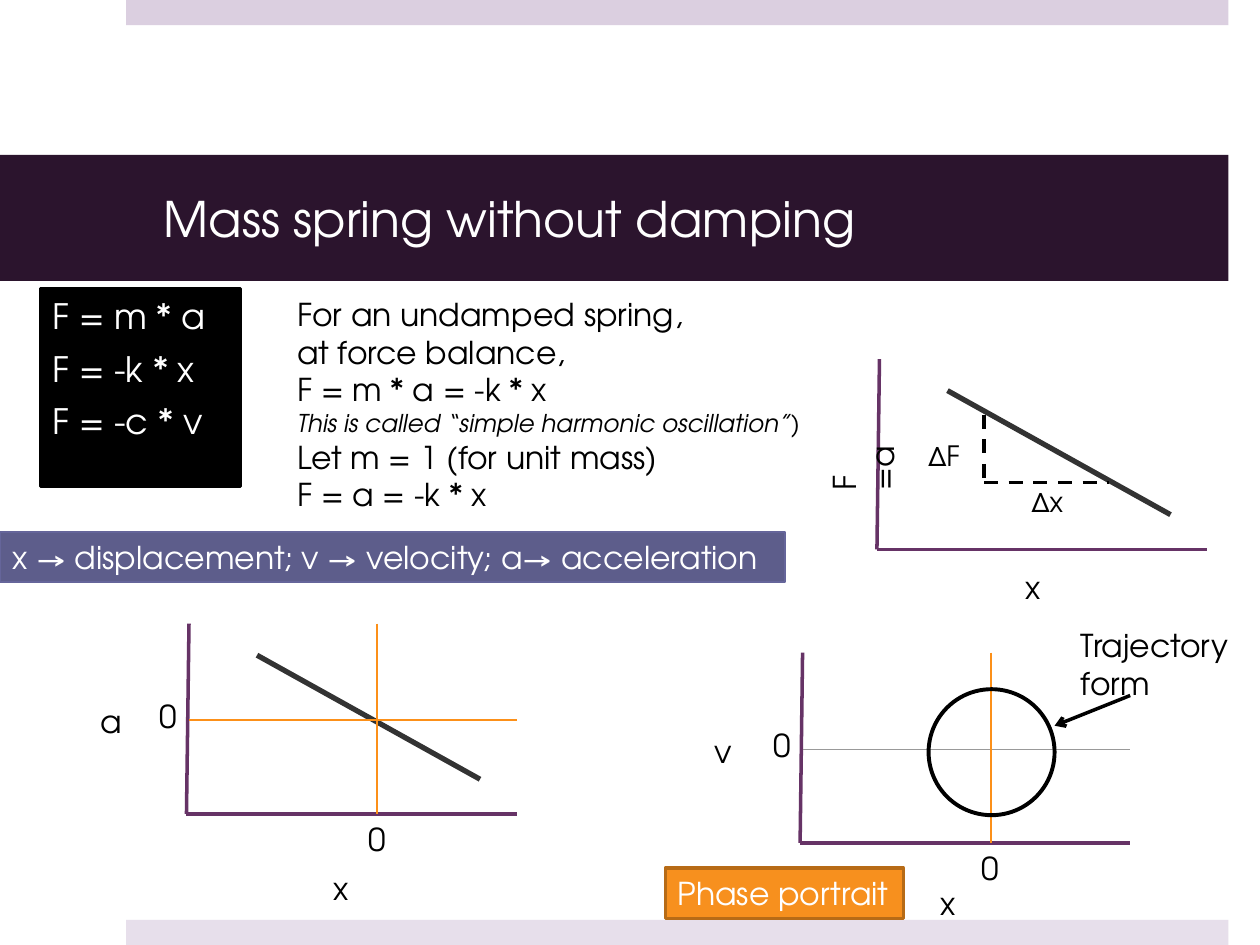
from lxml import etree
from pptx import Presentation
from pptx.dml.color import RGBColor
from pptx.enum.dml import MSO_LINE
from pptx.enum.shapes import MSO_CONNECTOR, MSO_SHAPE
from pptx.enum.text import MSO_ANCHOR, PP_ALIGN
from pptx.oxml.ns import qn
from pptx.util import Inches, Pt

RECT, OVAL = MSO_SHAPE.RECTANGLE, MSO_SHAPE.OVAL
STRAIGHT, DASH = MSO_CONNECTOR.STRAIGHT, MSO_LINE.DASH
LEFT, TOP, MIDDLE = PP_ALIGN.LEFT, MSO_ANCHOR.TOP, MSO_ANCHOR.MIDDLE

FONT = "TeX Gyre Adventor"
BLACK, WHITE = "000000", "FFFFFF"
AXIS, ORANGE, GREY = "663366", "FC9019", "999999"
COLUMNS, ROWS = 100, 75


def rgb(value):
    return RGBColor.from_string(value)


class SlideBuilder:
    """Draws on one slide; lengths are columns and rows of a 100 by 75 grid."""

    def __init__(self, deck):
        self.column = deck.slide_width / COLUMNS
        self.row = deck.slide_height / ROWS
        self.slide = deck.slides.add_slide(deck.slide_layouts[5])
        self.shapes = self.slide.shapes

    def place(self, x, y):
        return round(x * self.column), round(y * self.row)

    def start_group(self):
        self.shapes = self.slide.shapes.add_group_shape().shapes

    def end_group(self):
        self.shapes = self.slide.shapes

    def add_lines(self, frame, lines, color, size, space=0):
        """Each line is a string, or a (string, size, italic) tuple."""
        for index, line in enumerate(lines):
            words, points, italic = (line, size, False) if isinstance(line, str) else line
            paragraph = frame.paragraphs[0] if index == 0 else frame.add_paragraph()
            paragraph.alignment = LEFT
            if index and space:
                paragraph.space_before = Pt(space)
            run = paragraph.add_run()
            run.text = words
            run.font.name, run.font.size = FONT, Pt(points)
            run.font.italic = italic
            run.font.color.rgb = rgb(color)

    def title(self, words, x, y, width, height, fill):
        title = self.slide.shapes.title
        title.left, title.top = self.place(x, y)
        title.width, title.height = self.place(width, height)
        title.fill.solid()
        title.fill.fore_color.rgb = rgb(fill)
        frame = title.text_frame
        frame.vertical_anchor = MIDDLE
        frame.margin_left, frame.margin_right = Inches(1.3), Inches(0.3)
        self.add_lines(frame, [words], WHITE, 28)

    def shape(self, kind, x, y, width, height, fill=None, line=None, weight=1,
              lines=(), size=18, space=0):
        shape = self.shapes.add_shape(kind, *self.place(x, y), *self.place(width, height))
        shape.shadow.inherit = False
        if fill:
            shape.fill.solid()
            shape.fill.fore_color.rgb = rgb(fill)
        else:
            shape.fill.background()
        if line:
            shape.line.color.rgb = rgb(line)
            shape.line.width = Pt(weight)
        else:
            shape.line.fill.background()
        if lines:
            shape.text_frame.word_wrap = False
            shape.text_frame.vertical_anchor = TOP
            self.add_lines(shape.text_frame, lines, WHITE, size, space)

    def text(self, x, y, width, height, *lines, size=18, wrap=False, turn=0):
        box = self.shapes.add_textbox(*self.place(x, y), *self.place(width, height))
        box.rotation = turn
        box.text_frame.word_wrap = wrap
        self.add_lines(box.text_frame, lines, BLACK, size)

    def line(self, start, end, color, weight, dash=None, opacity=None, arrow=False):
        line = self.shapes.add_connector(STRAIGHT, *self.place(*start), *self.place(*end))
        line.line.color.rgb = rgb(color)
        line.line.width = Pt(weight)
        if dash:
            line.line.dash_style = dash
        properties = line._element.spPr
        if opacity:
            fill_color = properties.find(".//" + qn("a:srgbClr"))
            etree.SubElement(fill_color, qn("a:alpha"), val=str(opacity * 1000))
        if arrow:
            etree.SubElement(properties.find(qn("a:ln")), qn("a:tailEnd"), type="arrow")
        etree.SubElement(properties, qn("a:effectLst"))

    def axes(self, x, y):
        """Draw both axes from the lower left corner of a plot."""
        self.line((x + 0.2, y - 15.1), (x, y), AXIS, 2)
        self.line((x, y), (x + 26.2, y), AXIS, 2)

    def trend(self, x, y):
        self.line((x + 5.6, y - 12.6), (x + 23.3, y - 2.75), BLACK, 3, opacity=80)

    def zero_lines(self, x, y, level_color, level_weight):
        self.line((x + 0.2, y - 7.45), (x + 26.2, y - 7.45), level_color, level_weight)
        self.line((x + 15.15, y - 15.1), (x + 15.15, y), ORANGE, 1)
        for dx, dy in ((-3.1, -9.75), (13.45, 0)):
            self.text(x + dx, y + dy, 3.4, 4, "0")


def main():
    deck = Presentation()
    deck.slide_width, deck.slide_height = Inches(10), Inches(7.5)
    page = SlideBuilder(deck)

    page.shape(RECT, 10, 0, 87.5, 2, "DBCFE0")
    page.shape(RECT, 10, 73, 87.5, 2, "E7DFEB")
    page.title("Mass spring without damping", 0, 12.3, 97.5, 10, "2B142D")
    page.shape(RECT, 3.2, 22.9, 15.9, 15.7, BLACK, BLACK, 2,
               ["F = m * a", "F = -k * x", "F = -c * v"], size=20, space=6)
    page.text(22.6, 22.9, 42.6, 18.5,
              "For an undamped spring,", "at force balance,", "F = m * a = -k * x",
              ("This is called “simple harmonic oscillation”)", 14, True),
              "Let m = 1 (for unit mass)", "F = a = -k * x")

    # Force against displacement, with its slope triangle
    force = (69.6, 43.6)
    page.start_group()
    page.axes(*force)
    page.trend(*force)
    page.text(63.4, 34.3, 7.2, 4, "F =a", wrap=True, turn=270)
    page.text(80.4, 44.6, 3.3, 4, "x")
    slope_corner = (78.1, 38.3)
    page.line((78.1, 32.9), slope_corner, BLACK, 2, DASH)
    page.line(slope_corner, (88, 38.3), BLACK, 2, DASH)
    page.text(72.7, 34.3, 5.4, 3.7, "ΔF", size=16)
    page.text(80.9, 38, 5.4, 3.7, "Δx", size=16)

    # Acceleration against displacement
    acceleration = (14.8, 64.6)
    page.start_group()
    page.axes(*acceleration)
    page.trend(*acceleration)
    page.zero_lines(*acceleration, ORANGE, 1)
    page.text(7, 55.2, 3.7, 4, "a")
    page.text(25.5, 68.5, 3.3, 4, "x")

    # Velocity against displacement
    velocity = (63.5, 66.9)
    page.start_group()
    page.axes(*velocity)
    page.zero_lines(*velocity, GREY, 0.5)
    page.text(55.7, 57.6, 3.4, 4, "v")
    page.text(73.7, 69.7, 3.3, 4, "x")
    page.end_group()

    page.shape(OVAL, 73.7, 54.7, 10, 10, line=BLACK, weight=2.25)
    page.shape(RECT, 0, 42.2, 62.3, 4, "5D5D8B", "65659A", 1,
               ["x → displacement; v → velocity; a→ acceleration"])
    page.text(84.8, 49.2, 15, 7.1, "Trajectory form", wrap=True)
    page.line((89.7, 55.2), (83.7, 57.6), BLACK, 2, arrow=True)
    page.shape(RECT, 52.8, 68.9, 18.9, 4, "F7901E", "B76B16", 2, ["Phase portrait"])

    deck.save("out.pptx")


if __name__ == "__main__":
    main()
